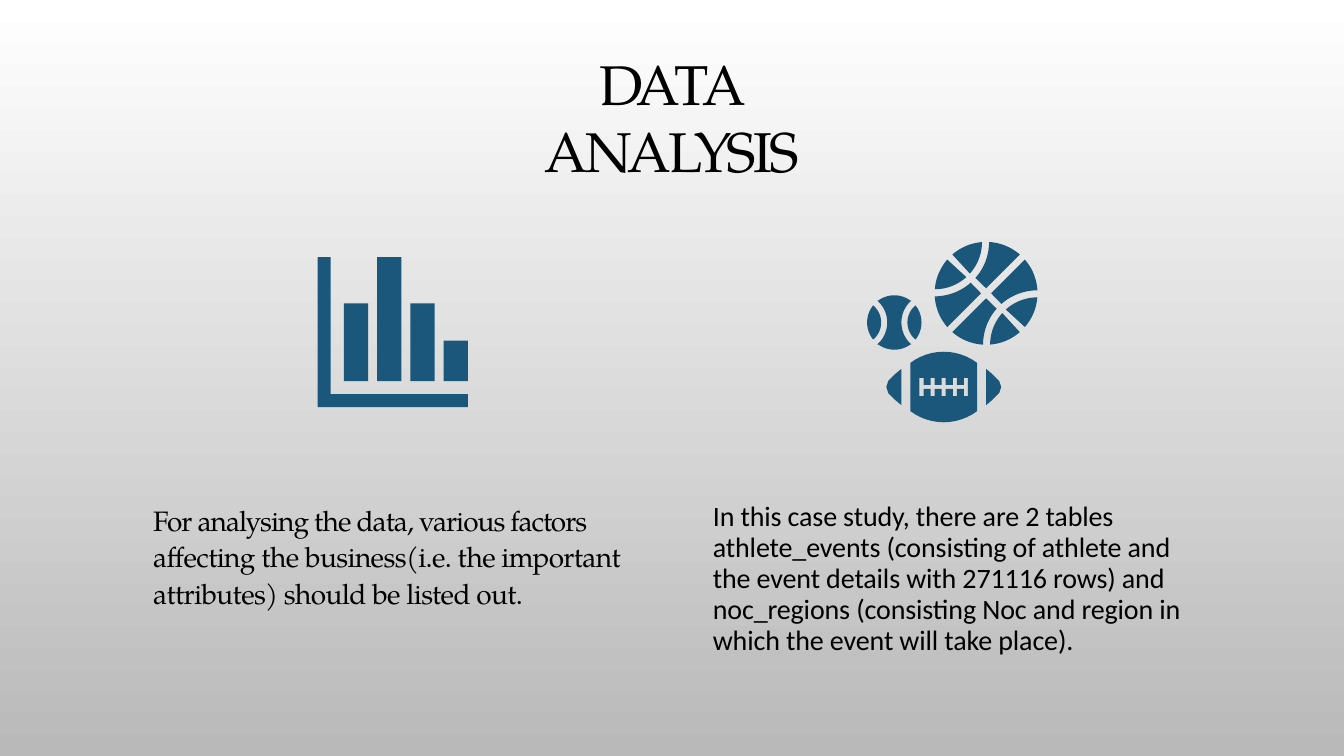
from math import cos, radians, sin

from pptx import Presentation
from pptx import util as u
from pptx.dml.color import RGBColor
from pptx.enum import text

COLORS = {"top": "FFFFFF", "bottom": "B9B9B9", "icon": "1B577B", "ink": "000000"}
SERIF, SANS = "TeX Gyre Pagella", "Calibri"

TITLE = [("DATA ", -1.3), ("ANALYSIS", -1.9)]
FACTORS = [
    ("For analysing the data, various factors ", -0.7),
    ("affecting the business(i.e. the important attributes) "
     "should be listed out.", -0.45),
]
TABLES = [
    ("In this case study, there are 2 tables athlete_events (consisting of "
     "athlete and the event details with 271116 rows) and noc_regions "
     "(consisting Noc and region in which the event will take place).", -0.1),
]


def color(name):
    """Return the named palette colour."""
    return RGBColor.from_string(COLORS[name])


def arc(x, y, radius, start, end, steps=12):
    """Return points on a circle between two angles in degrees."""
    angles = [radians(start + (end - start) * i / steps) for i in range(steps + 1)]
    return [(x + radius * cos(a), y + radius * sin(a)) for a in angles]


def mirror(points, side):
    """Flip points left to right when side is -1."""
    return [(side * x, y) for x, y in points]


def shift(contours, x, y):
    """Move contours by an offset in inches."""
    return [[(x + px, y + py) for px, py in points] for points in contours]


def rectangle(left, top, right, bottom):
    """Return the corners of a rectangle."""
    return [(left, top), (right, top), (right, bottom), (left, bottom)]


def bar_chart_contours():
    """Return the axis and the four bars of the chart icon."""
    axis = [(3.15, 2.55), (3.28, 2.55), (3.28, 3.91),
            (4.64, 3.91), (4.64, 4.04), (3.15, 4.04)]
    bars = [rectangle(3.41 + 0.33 * i, top, 3.65 + 0.33 * i, 3.78)
            for i, top in enumerate((3.01, 2.55, 3.01, 3.38))]
    return [axis] + bars


def basketball_contours():
    """Return the eight panels, two of them repeated by symmetry."""
    corner = -0.51
    cap = arc(0, 0, 0.51, 221, 184.5) + arc(corner, corner, 0.47, 90, 48)
    lune = ([(-0.05, 0)] + arc(corner, corner, 0.54, 48.5, 90)
            + arc(0, 0, 0.51, 176.5, 139))
    panels = []
    for panel in (cap, lune):
        for sign in (1, -1):
            panels.append([(sign * x, sign * y) for x, y in panel])
            panels.append([(sign * y, sign * x) for x, y in panel])
    return panels


def tennis_contours():
    """Return the middle and the two sides of the tennis ball."""
    middle = (arc(0, 0, 0.27, 233, 307) + arc(0.36, 0, 0.29, 229, 131)
              + arc(0, 0, 0.27, 53, 127) + arc(-0.36, 0, 0.29, 49, -49))
    edge = arc(0, 0, 0.27, 142, 218) + arc(-0.35, 0, 0.22, -50, 50)
    return [middle] + [mirror(edge, side) for side in (1, -1)]


def football_contours():
    """Return the football body with its lace as a hole."""
    body = arc(0, 0.2, 0.55, 233, 307) + arc(0, -0.2, 0.55, 53, 127)
    lace = []
    for i in range(-2, 3):
        left, right = 0.11 * i - 0.02, 0.11 * i + 0.02
        lace += [(left, -0.02), (left, -0.09), (right, -0.09), (right, -0.02)]
    lace += [(-x, -y) for x, y in lace]
    return [body, lace]


def add_icon(page, contours):
    """Draw closed contours as one filled freeform."""
    outlines = [[(u.Inches(x), u.Inches(y)) for x, y in points] for points in contours]
    builder = page.shapes.build_freeform(*outlines[0][0], scale=1.0)
    for i, points in enumerate(outlines):
        if i:
            builder.move_to(*points[0])
        builder.add_line_segments(points[1:], close=True)
    icon = builder.convert_to_shape()
    icon.shadow.inherit = False
    icon.fill.solid()
    icon.fill.fore_color.rgb = color("icon")
    icon.line.fill.background()


def fill_text(box, spans, frame_format, para_format, font_format):
    """Write spans of tracked text into a box."""
    frame = box.text_frame
    defaults = {"word_wrap": True, "auto_size": text.MSO_AUTO_SIZE.SHAPE_TO_FIT_TEXT,
                "margin_left": 0, "margin_right": 0, "margin_bottom": 0}
    para = frame.paragraphs[0]
    for target, values in ((frame, {**defaults, **frame_format}),
                           (para, {"space_before": u.Pt(0), **para_format})):
        for name, value in values.items():
            setattr(target, name, value)
    for words, tracking in spans:
        span = para.add_run()
        span.text = words
        for name, value in font_format.items():
            setattr(span.font, name, value)
        span.font.color.rgb = color("ink")
        span._r.get_or_add_rPr().set("spc", str(round(tracking * 100)))


def add_title(page):
    """Place the slide title in its placeholder."""
    title = page.shapes.title
    place = {"left": 5.07, "top": 0.81, "width": 3.19, "height": 0.69}
    for name, value in place.items():
        setattr(title, name, u.Inches(value))
    fill_text(title, TITLE,
              {"margin_top": u.Inches(0.01), "vertical_anchor": text.MSO_ANCHOR.MIDDLE},
              {"alignment": text.PP_ALIGN.CENTER, "line_spacing": 1.0},
              {"name": SERIF, "size": u.Pt(40)})


def add_note(page, place, spans, font, margin_top, line_spacing):
    """Add a text box with one paragraph."""
    box = page.shapes.add_textbox(*[u.Inches(value) for value in place])
    fill_text(box, spans, {"margin_top": u.Inches(margin_top)},
              {"line_spacing": line_spacing}, {"name": font, "size": u.Pt(20)})


def set_background(page):
    """Fill the page with a gradient from top to bottom."""
    fill = page.background.fill
    fill.gradient()
    fill.gradient_angle = 270
    for stop, name in zip(fill.gradient_stops, ("top", "bottom")):
        stop.color.rgb = color(name)


def main():
    """Build and save the slide."""
    deck = Presentation()
    deck.slide_width, deck.slide_height = u.Inches(13.33), u.Inches(7.5)
    page = deck.slides.add_slide(deck.slide_layouts[5])
    set_background(page)
    add_title(page)
    add_icon(page, bar_chart_contours())
    add_note(page, (1.52, 4.96, 4.63, 1.11), FACTORS, SERIF, 0.01, 1.08)
    add_icon(page, shift(tennis_contours(), 8.87, 3.2)
             + shift(football_contours(), 9.36, 3.84))
    add_icon(page, shift(basketball_contours(), 9.78, 2.91))
    tip = [(-0.42, -0.18), (-0.48, -0.13), (-0.55, -0.06), (-0.57, 0),
           (-0.55, 0.06), (-0.48, 0.13), (-0.42, 0.18)]
    for side in (1, -1):
        add_icon(page, shift([mirror(tip, side)], 9.36, 3.84))
    add_note(page, (7.07, 4.94, 4.72, 1.58), TABLES, SANS, 0.04, 0.92)
    deck.save("out.pptx")


if __name__ == "__main__":
    main()
